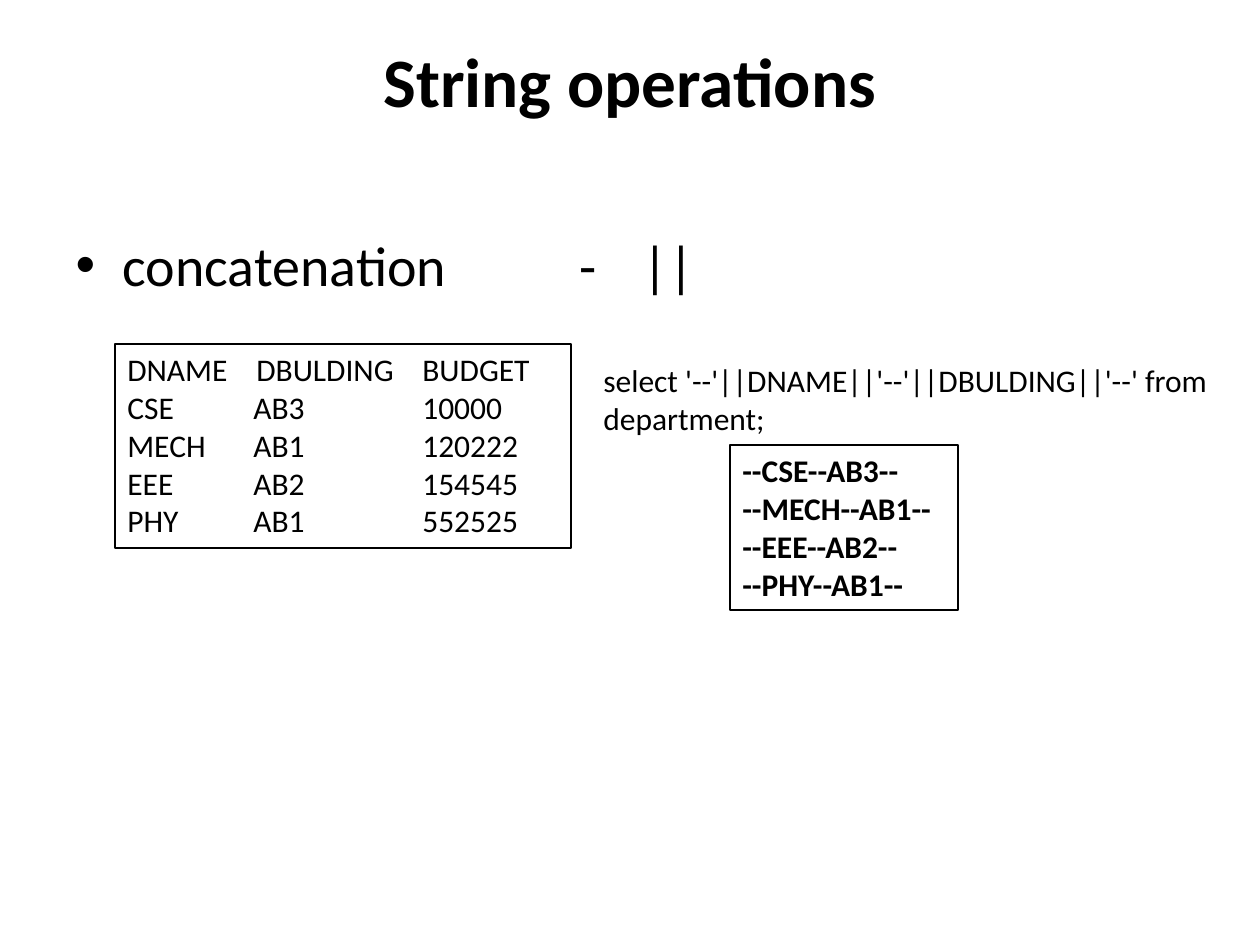
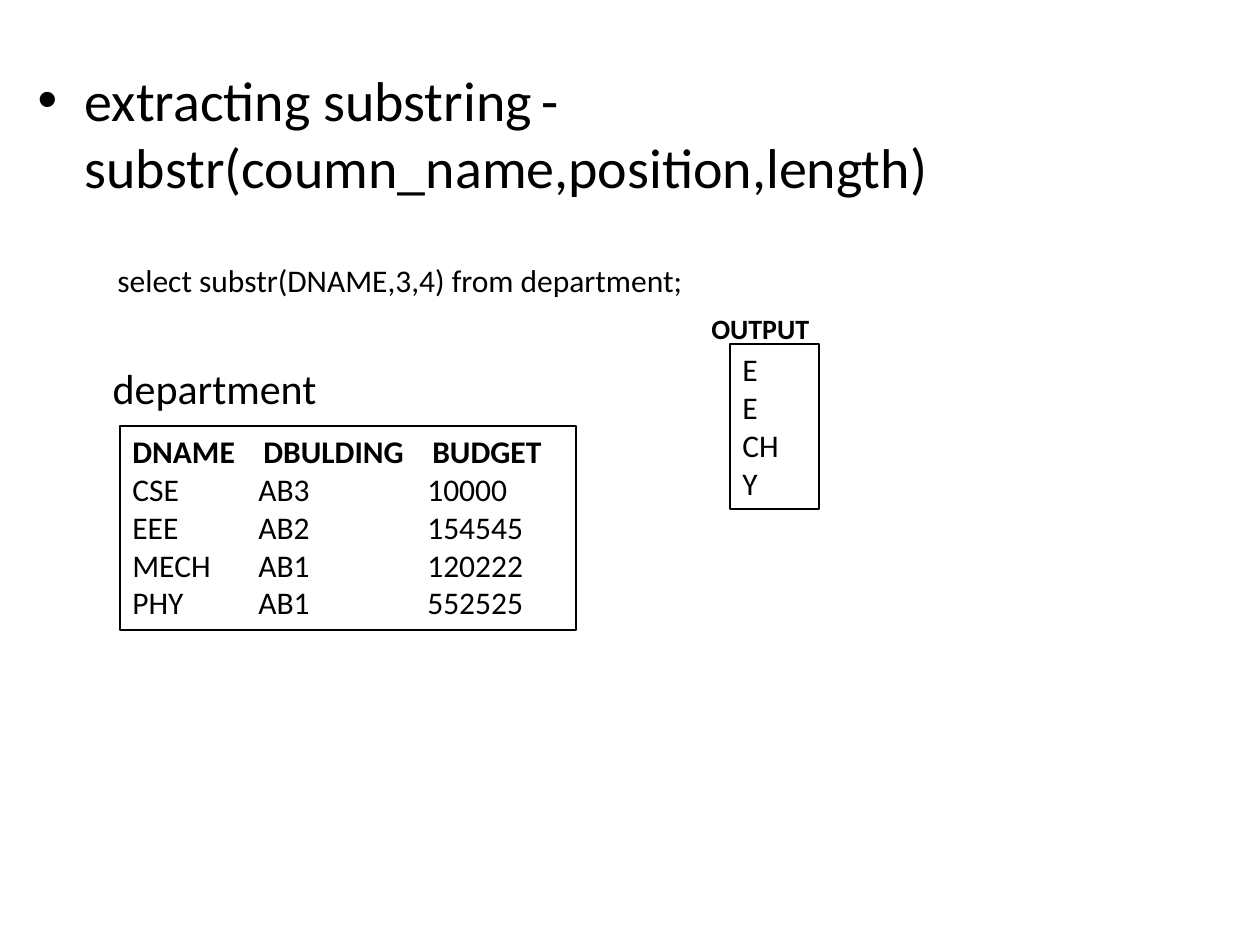
from lxml import etree
from pptx import Presentation
from pptx.dml.color import RGBColor
from pptx.enum.shapes import MSO_SHAPE
from pptx.enum.text import MSO_ANCHOR, MSO_AUTO_SIZE, PP_ALIGN
from pptx.oxml.ns import qn
from pptx.util import Emu, Pt

RECTANGLE = MSO_SHAPE.RECTANGLE
TOP = MSO_ANCHOR.TOP
LEFT, CENTER = PP_ALIGN.LEFT, PP_ALIGN.CENTER
NO_AUTOFIT = MSO_AUTO_SIZE.NONE

EMU_PER_PX = 914400 / 126
SLIDE_SIZE = (1260, 945)
FONT = "Calibri"
COLORS = {"text": "000000", "outline": "000000"}
HANGING_INDENT = 47
ROW_STOPS = (126, 295)
TITLE_AND_CONTENT = 1

# Boxes are (left, top, width, height) in px.
# List items are (text, size, bulleted, indent, space before in points).
SLIDES = [
    {
        "title": ("String operations", (63, 38, 1134, 157)),
        "body": ([("concatenation \t\t-\t||", 32, True, HANGING_INDENT, 0)],
                 (63, 220, 1134, 624)),
        "table": {
            "box": (115, 344, 456, 204),
            "header_stops": (129, 295),
            "header_bold": False,
            "rows": [
                ("DNAME", "DBULDING", "BUDGET"),
                ("CSE", "AB3", "10000"),
                ("MECH", "AB1", "120222"),
                ("EEE", "AB2", "154545"),
                ("PHY", "AB1", "552525"),
            ],
        },
        "result": (["--CSE--AB3--", "--MECH--AB1--", "--EEE--AB2--", "--PHY--AB1--"],
                   (730, 445, 228, 165), True),
        "labels": [
            ("select '--'||DNAME||'--'||DBULDING||'--' from department;",
             (591, 355, 632, 89), 18, False),
        ],
    },
    {
        "title": None,
        "body": ([("extracting substring\t-\tsubstr(coumn_name,position,length)",
                   32, True, HANGING_INDENT, 0),
                  ("department", 24, False, 75, 93)],
                 (25, 55, 1201, 833)),
        "table": {
            "box": (120, 426, 456, 204),
            "header_stops": (131, 300),
            "header_bold": True,
            "rows": [
                ("DNAME", "DBULDING", "BUDGET"),
                ("CSE", "AB3", "10000"),
                ("EEE", "AB2", "154545"),
                ("MECH", "AB1", "120222"),
                ("PHY", "AB1", "552525"),
            ],
        },
        "result": (["E", "E", "CH", "Y"], (730, 344, 89, 165), False),
        "labels": [
            ("select substr(DNAME,3,4) from department;", (105, 255, 597, 50), 18, False),
            ("OUTPUT", (699, 305, 290, 47), 16, True),
        ],
    },
]


def px(length):
    return Emu(round(length * EMU_PER_PX))


def place(shape, box):
    shape.left, shape.top, shape.width, shape.height = map(px, box)


def add_run(paragraph, text, size, bold=False):
    run = paragraph.add_run()
    run.text = text
    run.font.name = FONT
    run.font.size = Pt(size)
    run.font.bold = bold
    run.font.color.rgb = RGBColor.from_string(COLORS["text"])


def paragraphs_for(text_frame, items):
    """Yield a paragraph for each item, starting with the one already there."""
    for index, item in enumerate(items):
        yield (text_frame.add_paragraph() if index else text_frame.paragraphs[0]), item


def add_tab_stops(paragraph, stops):
    tab_list = etree.SubElement(paragraph._p.get_or_add_pPr(), qn("a:tabLst"))
    for stop in stops:
        etree.SubElement(tab_list, qn("a:tab"), pos=str(px(stop)), algn="l")


def set_bullet(paragraph, bulleted, indent):
    properties = paragraph._p.get_or_add_pPr()
    properties.set("marL", str(px(indent)))
    properties.set("indent", str(px(-HANGING_INDENT if bulleted else 0)))
    if bulleted:
        etree.SubElement(properties, qn("a:buChar"), char="•")
    else:
        etree.SubElement(properties, qn("a:buNone"))


def fill_title(slide, title):
    shape = slide.shapes.title
    if title is None:
        shape.element.getparent().remove(shape.element)
        return
    text, box = title
    place(shape, box)
    frame = shape.text_frame
    frame.auto_size = NO_AUTOFIT
    frame.vertical_anchor = TOP
    frame.margin_top = 0
    frame.paragraphs[0].alignment = CENTER
    add_run(frame.paragraphs[0], text, 39.6, bold=True)


def fill_body(slide, items, box):
    shape = slide.placeholders[1]
    place(shape, box)
    frame = shape.text_frame
    frame.auto_size = NO_AUTOFIT
    frame.margin_top = px(10)
    for paragraph, (text, size, bulleted, indent, space_before) in paragraphs_for(frame, items):
        set_bullet(paragraph, bulleted, indent)
        paragraph.space_before = Pt(space_before)
        add_run(paragraph, text, size)


def add_outlined_box(slide, box):
    shape = slide.shapes.add_shape(RECTANGLE, *map(px, box))
    shape.shadow.inherit = False
    shape.fill.background()
    shape.line.color.rgb = RGBColor.from_string(COLORS["outline"])
    shape.line.width = Pt(0.75)
    shape.text_frame.word_wrap = True
    shape.text_frame.vertical_anchor = TOP
    return shape.text_frame


def add_department_rows(slide, table):
    frame = add_outlined_box(slide, table["box"])
    for paragraph, row in paragraphs_for(frame, table["rows"]):
        is_header = row is table["rows"][0]
        add_tab_stops(paragraph, table["header_stops"] if is_header else ROW_STOPS)
        paragraph.alignment = LEFT
        add_run(paragraph, "\t".join(row), 18, is_header and table["header_bold"])


def add_result(slide, lines, box, bold):
    frame = add_outlined_box(slide, box)
    for paragraph, line in paragraphs_for(frame, lines):
        paragraph.alignment = LEFT
        add_run(paragraph, line, 18, bold)


def add_label(slide, text, box, size, bold):
    frame = slide.shapes.add_textbox(*map(px, box)).text_frame
    frame.word_wrap = True
    add_run(frame.paragraphs[0], text, size, bold)


def main():
    presentation = Presentation()
    presentation.slide_width, presentation.slide_height = map(px, SLIDE_SIZE)
    layout = presentation.slide_layouts[TITLE_AND_CONTENT]
    for content in SLIDES:
        slide = presentation.slides.add_slide(layout)
        fill_title(slide, content["title"])
        fill_body(slide, *content["body"])
        add_department_rows(slide, content["table"])
        add_result(slide, *content["result"])
        for label in content["labels"]:
            add_label(slide, *label)
    presentation.save("out.pptx")


if __name__ == "__main__":
    main()
